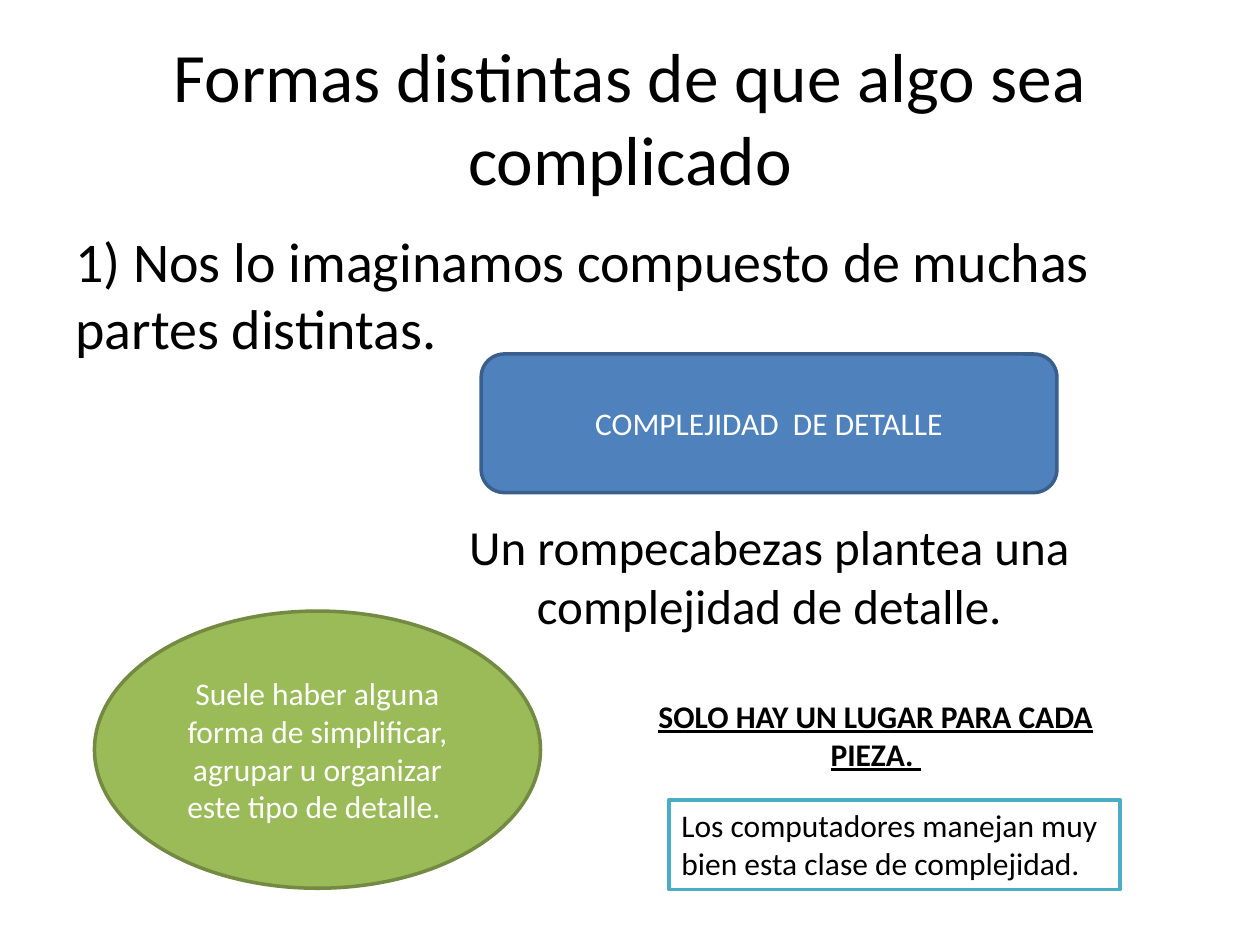
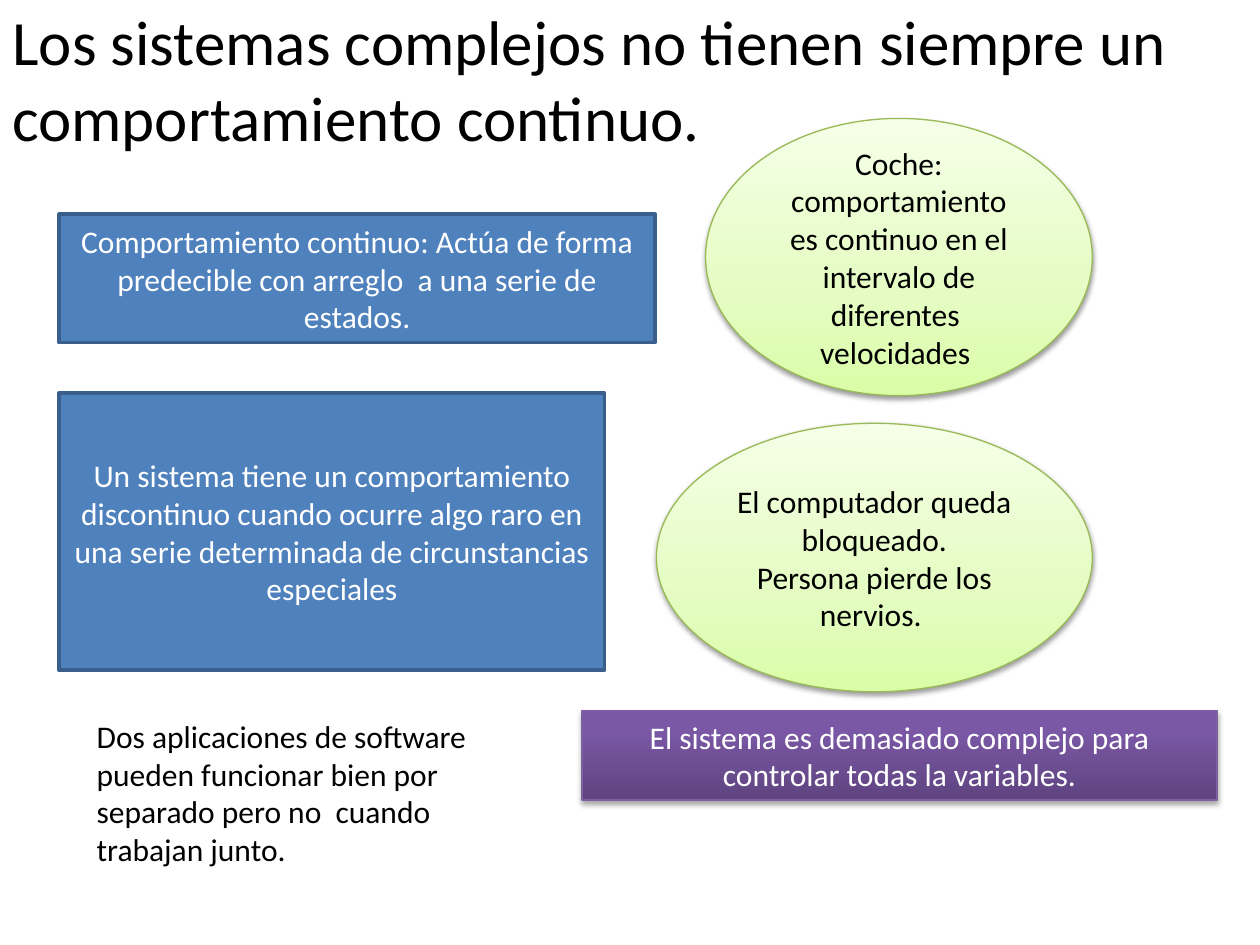
from lxml.etree import SubElement
from pptx import Presentation
from pptx.dml.color import RGBColor
from pptx.enum.shapes import MSO_SHAPE
from pptx.enum.text import MSO_ANCHOR, PP_ALIGN
from pptx.oxml.ns import qn
from pptx.util import Pt

BLACK = RGBColor(0x00, 0x00, 0x00)
WHITE = RGBColor(0xFF, 0xFF, 0xFF)
BLUE = RGBColor(0x4F, 0x81, 0xBD)
BLUE_EDGE = RGBColor(0x3A, 0x5F, 0x8C)
GREEN = RGBColor(0x9B, 0xBB, 0x59)
GREEN_EDGE = RGBColor(0x73, 0x8A, 0x42)
LIME_EDGE = RGBColor(0x98, 0xB9, 0x55)
PURPLE_EDGE = RGBColor(0x7D, 0x60, 0xA0)
AQUA = RGBColor(0x4B, 0xAC, 0xC6)
LIME_STOPS = (
    (0, RGBColor(0xDA, 0xFD, 0xA7)),
    (35, RGBColor(0xE4, 0xFC, 0xC2)),
    (100, RGBColor(0xF5, 0xFF, 0xE7)),
)
PURPLE_STOPS = (
    (0, RGBColor(0x5F, 0x44, 0x80)),
    (80, RGBColor(0x7B, 0x58, 0xA6)),
    (100, RGBColor(0x7C, 0x57, 0xA8)),
)


def write_text(frame, text, size=18, color=BLACK, align=PP_ALIGN.CENTER,
               anchor=MSO_ANCHOR.MIDDLE, bold=False, underline=False):
    """Fill a text frame, one paragraph for each line of text."""
    frame.word_wrap = True
    frame.vertical_anchor = anchor
    for index, line in enumerate(text.split("\n")):
        para = frame.add_paragraph() if index else frame.paragraphs[0]
        para.alignment = align
        span = para.add_run()
        span.text = line
        span.font.name = "Calibri"
        span.font.size = Pt(size)
        span.font.color.rgb = color
        span.font.bold = bold
        span.font.underline = underline


class ComplexityDeck:
    """Holds the shared style and the current slide."""

    def __init__(self):
        self.deck = Presentation()
        self.deck.slide_width, self.deck.slide_height = Pt(720), Pt(540)
        self.page = None

    def new_page(self):
        self.page = self.deck.slides.add_slide(self.deck.slide_layouts[6])

    def text(self, bounds, text, anchor=MSO_ANCHOR.TOP, **style):
        box = self.page.shapes.add_textbox(*map(Pt, bounds))
        write_text(box.text_frame, text, anchor=anchor, **style)
        return box

    def title(self, left, width, text, **style):
        return self.text((left, 21.6, width, 90), text,
                         anchor=MSO_ANCHOR.MIDDLE, **style)

    def shape(self, kind, bounds, text, fill, edge, edge_width=2, **style):
        shape = self.page.shapes.add_shape(kind, *map(Pt, bounds))
        shape.shadow.inherit = False
        shape.fill.solid()
        shape.fill.fore_color.rgb = fill
        shape.line.color.rgb = edge
        shape.line.width = Pt(edge_width)
        write_text(shape.text_frame, text, **style)
        return shape

    def blue_box(self, bounds, text, kind=MSO_SHAPE.RECTANGLE):
        return self.shape(kind, bounds, text, BLUE, BLUE_EDGE, color=WHITE)

    def raised_shape(self, kind, bounds, text, stops, edge, opacity, distance,
                     **style):
        shape = self.shape(kind, bounds, text, WHITE, edge, 0.75, **style)
        shape.fill.gradient()
        properties = shape.element.spPr
        gradient = properties.find(qn("a:gradFill"))
        gradient.find(qn("a:lin")).set("ang", "16200000")
        stop_list = gradient.find(qn("a:gsLst"))
        for old_stop in list(stop_list):
            stop_list.remove(old_stop)
        for position, color in stops:
            stop = SubElement(stop_list, qn("a:gs"), pos=str(position * 1000))
            SubElement(stop, qn("a:srgbClr"), val=str(color))
        shadow = SubElement(
            properties.find(qn("a:effectLst")), qn("a:outerShdw"),
            blurRad=str(Pt(3.1)), dist=str(Pt(distance)), dir="5400000",
            rotWithShape="0")
        tint = SubElement(shadow, qn("a:srgbClr"), val=str(BLACK))
        SubElement(tint, qn("a:alpha"), val=str(opacity * 1000))
        return shape

    def example(self, bounds, text):
        return self.raised_shape(MSO_SHAPE.OVAL, bounds, text, LIME_STOPS,
                                 LIME_EDGE, 38, 1.6)


def add_detail_page(show):
    """Build the slide on complexity of detail."""
    show.new_page()
    show.title(36, 648, "Formas distintas de que algo sea complicado", size=39.6)
    show.text((36, 126, 648, 356.4),
              "1) Nos lo imaginamos compuesto de muchas partes distintas.",
              size=32, align=PP_ALIGN.LEFT)
    show.blue_box((275, 202.3, 329, 79.2), "COMPLEJIDAD  DE DETALLE",
                  MSO_SHAPE.ROUNDED_RECTANGLE)
    show.text((238.3, 291.6, 402.5, 74.9),
              "Un rompecabezas plantea una complejidad de detalle.", size=28)
    show.shape(MSO_SHAPE.OVAL, (54, 349.2, 254.9, 158.4),
               "Suele haber alguna forma de simplificar, agrupar u organizar "
               "este tipo de detalle. ", GREEN, GREEN_EDGE, color=WHITE)
    show.text((360, 394.6, 280.8, 51.1), "SOLO HAY UN LUGAR PARA CADA PIEZA. ",
              bold=True, underline=True)
    show.shape(MSO_SHAPE.RECTANGLE, (382.3, 457.2, 257.8, 51.1),
               "Los computadores manejan muy bien esta clase de complejidad.",
               WHITE, AQUA, align=PP_ALIGN.LEFT, anchor=MSO_ANCHOR.TOP)


def add_behaviour_page(show):
    """Build the slide on continuous and discontinuous behaviour."""
    show.new_page()
    title = show.title(
        0, 684,
        "Los sistemas complejos no tienen siempre un comportamiento continuo. ",
        size=36, align=PP_ALIGN.LEFT)
    title.text_frame.margin_bottom = Pt(47.6)
    show.blue_box((33.8, 122.4, 340.6, 73.4),
                  "Comportamiento continuo: Actúa de forma predecible con "
                  "arreglo  a una serie de estados.")
    show.example((403.2, 67.7, 221, 158.4),
                 "Coche: comportamiento es continuo en el intervalo de "
                 "diferentes  velocidades ")
    show.blue_box((33.8, 224.6, 311.8, 158.4),
                  "Un sistema tiene un comportamiento discontinuo cuando ocurre "
                  "algo raro en una serie determinada de circunstancias especiales")
    show.example((375.1, 241.9, 249.1, 153.4),
                 "El computador queda bloqueado.\nPersona pierde los nervios. ")
    show.raised_shape(MSO_SHAPE.RECTANGLE, (332.6, 406.1, 362.9, 51.1),
                      "El sistema es demasiado complejo para controlar todas "
                      "la variables.", PURPLE_STOPS, PURPLE_EDGE, 35, 1.8,
                      color=WHITE)
    show.text((48.2, 406.1, 249.1, 94.3),
              "Dos aplicaciones de software pueden funcionar bien por separado "
              "pero no  cuando trabajan junto.", align=PP_ALIGN.LEFT)


def main():
    """Build both slides and save the deck."""
    show = ComplexityDeck()
    add_detail_page(show)
    add_behaviour_page(show)
    show.deck.save("out.pptx")


if __name__ == "__main__":
    main()
